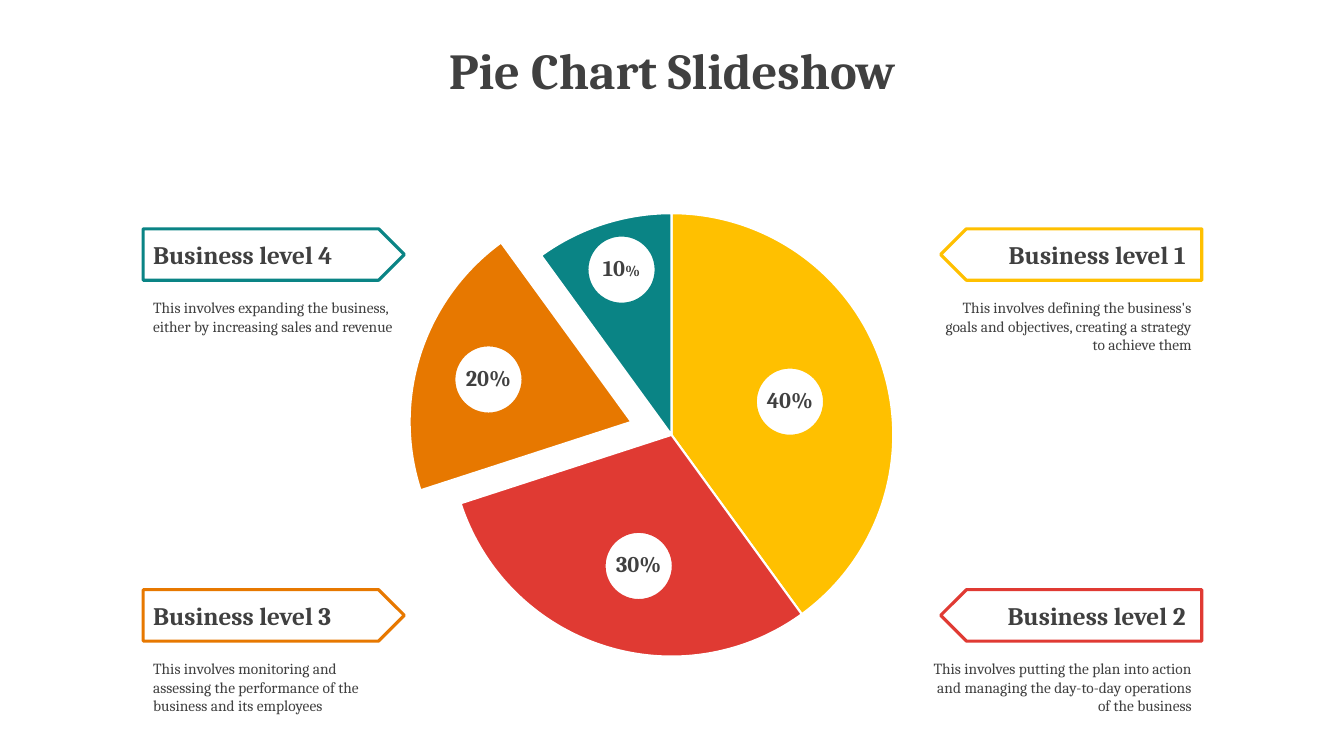
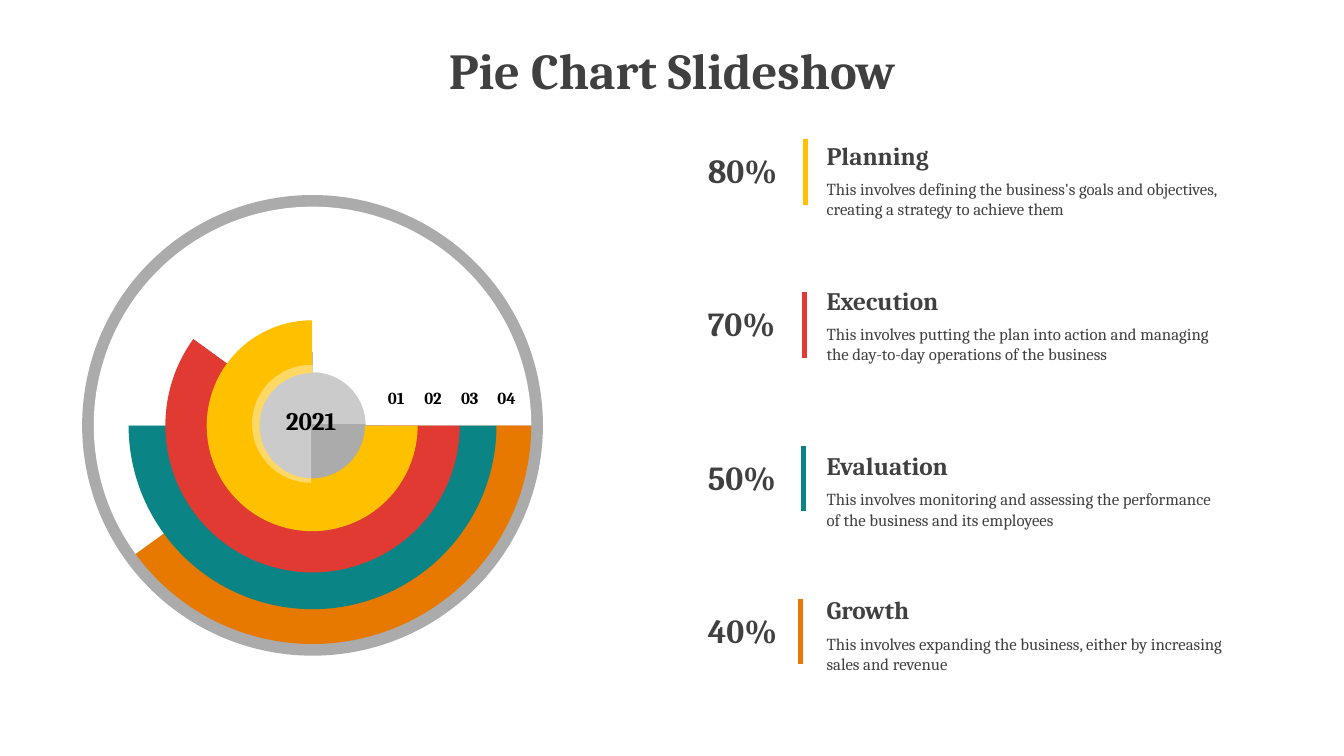
from lxml import etree
from pptx import Presentation, util as u
from pptx.chart.data import CategoryChartData
from pptx.dml.color import RGBColor
from pptx.enum import chart as charts, shapes, text
from pptx.oxml.ns import qn

# Shared style
WIDTH, HEIGHT = 13.33, 7.5
FONT, CHART_FONT = "Cambria", "Calibri"
INK, BLACK, WHITE = "404040", "000000", "FFFFFF"
YELLOW, RED, ORANGE, TEAL = "FFC000", "E03A33", "E77800", "0A8485"
LEFT, CENTER, RIGHT = text.PP_ALIGN.LEFT, text.PP_ALIGN.CENTER, text.PP_ALIGN.RIGHT
TITLE = "Pie Chart Slideshow"

# Slide 1: share, colour, badge corner, heading, description, side, top
LEVELS = [
    (40, YELLOW, (7.5, 3.65), "Business level 1",
     "This involves defining the business's goals and objectives, "
     "creating a strategy to achieve them", RIGHT, 2.27),
    (30, RED, (6, 5.28), "Business level 2",
     "This involves putting the plan into action and managing "
     "the day-to-day operations of the business", RIGHT, 5.85),
    (20, ORANGE, (4.51, 3.43), "Business level 3",
     "This involves monitoring and assessing the performance "
     "of the business and its employees", LEFT, 5.85),
    (10, TEAL, (5.83, 2.34), "Business level 4",
     "This involves expanding the business, either by increasing "
     "sales and revenue", LEFT, 2.27),
]
PULLED_SLICE, PULL = 2, 19
BADGE = 0.67

# Slide 2: label, heading, description (as on slide 1), colour, rule x, text top
STEPS = [
    ("80%", "Planning", LEVELS[0][4], YELLOW, 7.99, 1.34),
    ("70%", "Execution", LEVELS[1][4], RED, 7.98, 2.78),
    ("50%", "Evaluation", LEVELS[2][4], TEAL, 7.97, 4.42),
    ("40%", "Growth", LEVELS[3][4], ORANGE, 7.94, 5.85),
]
STEP_TOP, STEP_PITCH = 1.38, 1.52
# Rings from the outside in: diameter, filled share, hole, colour, explosion
RINGS = [(4.34, 40, 77, ORANGE, 0), (3.65, 50, 76, TEAL, 0),
         (2.92, 60, 70, RED, 0), (2.1, 75, 60, YELLOW, 1)]
RING_X, RING_Y = 3.1, 4.22


def color(value):
    return RGBColor.from_string(value)


def inches(*lengths):
    return [u.Inches(length) for length in lengths]


def write(shape, paragraphs, align=LEFT, anchor=text.MSO_ANCHOR.TOP,
          insets=(0.1, 0.05, 0.1, 0.05), wrap=True):
    """Each paragraph is (text, size, bold, colour)."""
    frame = shape.text_frame
    frame.word_wrap = wrap
    frame.auto_size = text.MSO_AUTO_SIZE.NONE
    frame.vertical_anchor = anchor
    (frame.margin_left, frame.margin_top,
     frame.margin_right, frame.margin_bottom) = inches(*insets)
    for index, (words, size, bold, ink) in enumerate(paragraphs):
        para = frame.add_paragraph() if index else frame.paragraphs[0]
        para.text, para.alignment = words, align
        font = para.font
        font.name, font.size, font.bold = FONT, u.Pt(size), bold
        font.color.rgb = color(ink)
    return frame


def add_text(page, place, paragraphs, **style):
    return write(page.shapes.add_textbox(*inches(*place)), paragraphs, **style)


def add_shape(page, kind, place, fill, line=None, width=1, alpha=None):
    shape = page.shapes.add_shape(kind, *inches(*place))
    shape.shadow.inherit = False
    shape.fill.solid()
    shape.fill.fore_color.rgb = color(fill)
    if alpha:
        tint = shape.fill._xPr.find(".//" + qn("a:srgbClr"))
        etree.SubElement(tint, qn("a:alpha"), val=str(alpha * 1000))
    if line:
        shape.line.color.rgb = color(line)
        shape.line.width = u.Pt(width)
    else:
        shape.line.fill.background()
    return shape


def add_round_chart(page, kind, place, values, colors, layout,
                    explosions=None, edge=None):
    """Pie or doughnut; layout is the plot's left, top, width, height."""
    data = CategoryChartData()
    data.categories = [str(number + 1) for number in range(len(values))]
    data.add_series("Series 1", values)
    chart = page.shapes.add_chart(kind, *inches(*place), data).chart
    chart.has_legend = chart.has_title = False
    chart.font.name, chart.font.size = CHART_FONT, u.Pt(10)
    chart.font.color.rgb = color(BLACK)
    plot = chart.plots[0]
    series = plot.series[0]
    for index, fill in enumerate(colors):
        look = series.points[index].format
        look.fill.solid()
        look.fill.fore_color.rgb = color(fill)
        if edge:
            look.line.color.rgb = color(edge)
            look.line.width = u.Pt(1.5)
        else:
            look.line.fill.background()
        if explosions and explosions[index]:
            point = series._element.get_or_add_dPt_for_point(index)
            pull = etree.Element(qn("c:explosion"), val=str(explosions[index]))
            point.find(qn("c:spPr")).addprevious(pull)
    # Manual position of the plot
    area = chart._chartSpace.find(".//" + qn("c:plotArea"))
    for old in area.findall(qn("c:layout")):
        area.remove(old)
    holder = etree.Element(qn("c:layout"))
    area.insert(0, holder)
    manual = etree.SubElement(holder, qn("c:manualLayout"))
    settings = [("layoutTarget", "inner"), ("xMode", "edge"), ("yMode", "edge"),
                *zip("xywh", layout)]
    for tag, value in settings:
        etree.SubElement(manual, qn("c:" + tag), val=str(value))
    return plot


def add_page(deck):
    page = deck.slides.add_slide(deck.slide_layouts[5])
    title = page.shapes.title
    title.left, title.top, title.width, title.height = inches(0, 0.33, WIDTH, 0.71)
    write(title, [(TITLE, 36, True, INK)], CENTER, text.MSO_ANCHOR.MIDDLE)
    return page


def build_levels(page):
    # Pie with one slice pulled out
    width, height, plot = 7.24, 4.67, 4.4
    share_x, share_y = round(plot / width, 3), round(plot / height, 3)
    layout = (round((1 - share_x) / 2, 3), round((1 - share_y) / 2, 3),
              share_x, share_y)
    add_round_chart(page, charts.XL_CHART_TYPE.PIE, (3.04, 1.98, width, height),
                    [level[0] for level in LEVELS], [level[1] for level in LEVELS],
                    layout, [PULL * (i == PULLED_SLICE) for i in range(len(LEVELS))],
                    WHITE)
    for share, accent, corner, heading, description, side, top in LEVELS:
        # Share badge
        badge = add_shape(page, shapes.MSO_SHAPE.OVAL, (*corner, BADGE, BADGE),
                          WHITE, accent)
        frame = write(badge, [(str(share), 16, True, INK)], CENTER,
                      text.MSO_ANCHOR.MIDDLE, (0, 0, 0, 0.04), False)
        span = frame.paragraphs[0].add_run()
        span.text = "%"
        if share == 10:
            span.font.size = u.Pt(11)
        # Arrow label and description
        on_right = side == RIGHT
        label = add_shape(page, shapes.MSO_SHAPE.PENTAGON,
                          (9.33 if on_right else 1.42, top, 2.59, 0.51),
                          WHITE, accent, 2.25)
        if on_right:
            label._element.spPr.find(qn("a:xfrm")).set("flipH", "1")
        write(label, [(heading, 18, True, INK)], side, text.MSO_ANCHOR.MIDDLE,
              (0.1, 0.05, 0.16 if on_right else 0.1, 0.05))
        place = (9.15, top + 0.64, 2.77, 0.66) if on_right else (
            1.42, top + 0.64, 2.59, 0.66)
        add_text(page, place, [(description, 11, False, INK)], align=side)


def build_steps(page):
    def centered(size):
        return RING_X - size / 2, RING_Y - size / 2, size, size

    # Concentric rings on a grey disc
    add_shape(page, shapes.MSO_SHAPE.OVAL, centered(4.57), INK, alpha=44)
    for size, share, hole, accent, pull in RINGS:
        plot = add_round_chart(page, charts.XL_CHART_TYPE.DOUGHNUT, centered(size),
                               (share, 100 - share), (accent, WHITE), (0, 0, 1, 1),
                               (pull, pull))
        plot._element.find(qn("c:firstSliceAng")).set("val", "90")
        plot._element.find(qn("c:holeSize")).set("val", str(hole))
    # Three-quarter highlight; angles in units of 100000/60000 degrees
    glow = add_shape(page, shapes.MSO_SHAPE.PIE, (2.5, 3.62, 1.17, 1.17),
                     WHITE, alpha=39)
    glow.adjustments[0], glow.adjustments[1] = 54, 0
    for index in range(len(RINGS)):
        add_text(page, (3.73 + 0.365 * index, 3.8, 0.4, 0.3),
                 [(f"{index + 1:02}", 12, True, BLACK)], align=CENTER, wrap=False)
    add_text(page, (2.72, 3.97, 0.73, 0.4), [("2021", 18, True, BLACK)],
             align=CENTER, wrap=False)

    # Steps: share, coloured rule, heading and description
    for index, (share, heading, description, accent, x, text_top) in enumerate(STEPS):
        top = STEP_TOP + STEP_PITCH * index
        add_text(page, (7.02, top + 0.11, 0.79, 0.4), [(share, 24, True, INK)],
                 insets=(0, 0, 0, 0), wrap=False)
        rule = page.shapes.add_connector(shapes.MSO_CONNECTOR.STRAIGHT,
                                         *inches(x, top, x, top + 0.65))
        rule.line.color.rgb, rule.line.width = color(accent), u.Pt(3)
        etree.SubElement(rule._element.spPr, qn("a:effectLst"))
        frame = add_text(page, (8.1, text_top, 4.13, 0.89),
                         [(heading, 18, True, INK), (description, 12, False, INK)])
        frame.paragraphs[0].space_after = u.Pt(6)


def main():
    deck = Presentation()
    deck.slide_width, deck.slide_height = inches(WIDTH, HEIGHT)
    build_levels(add_page(deck))
    build_steps(add_page(deck))
    deck.save("out.pptx")


if __name__ == "__main__":
    main()
